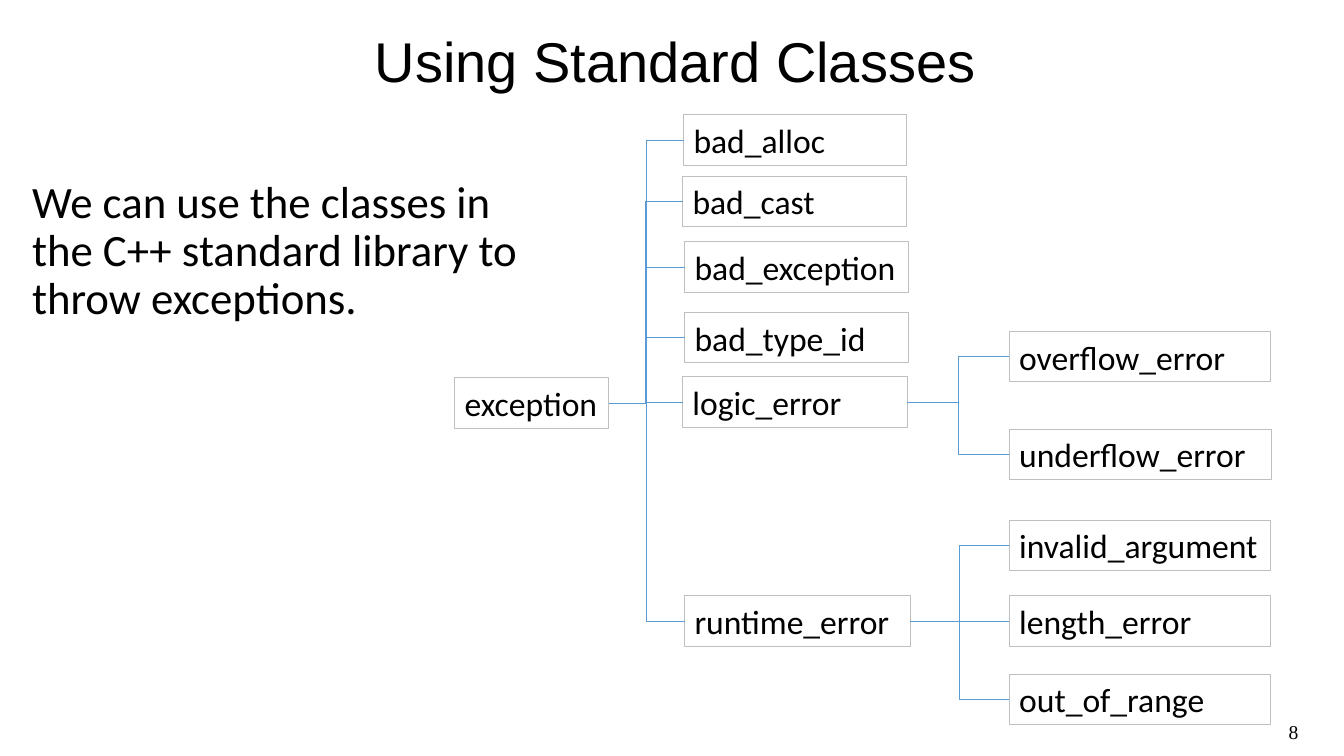
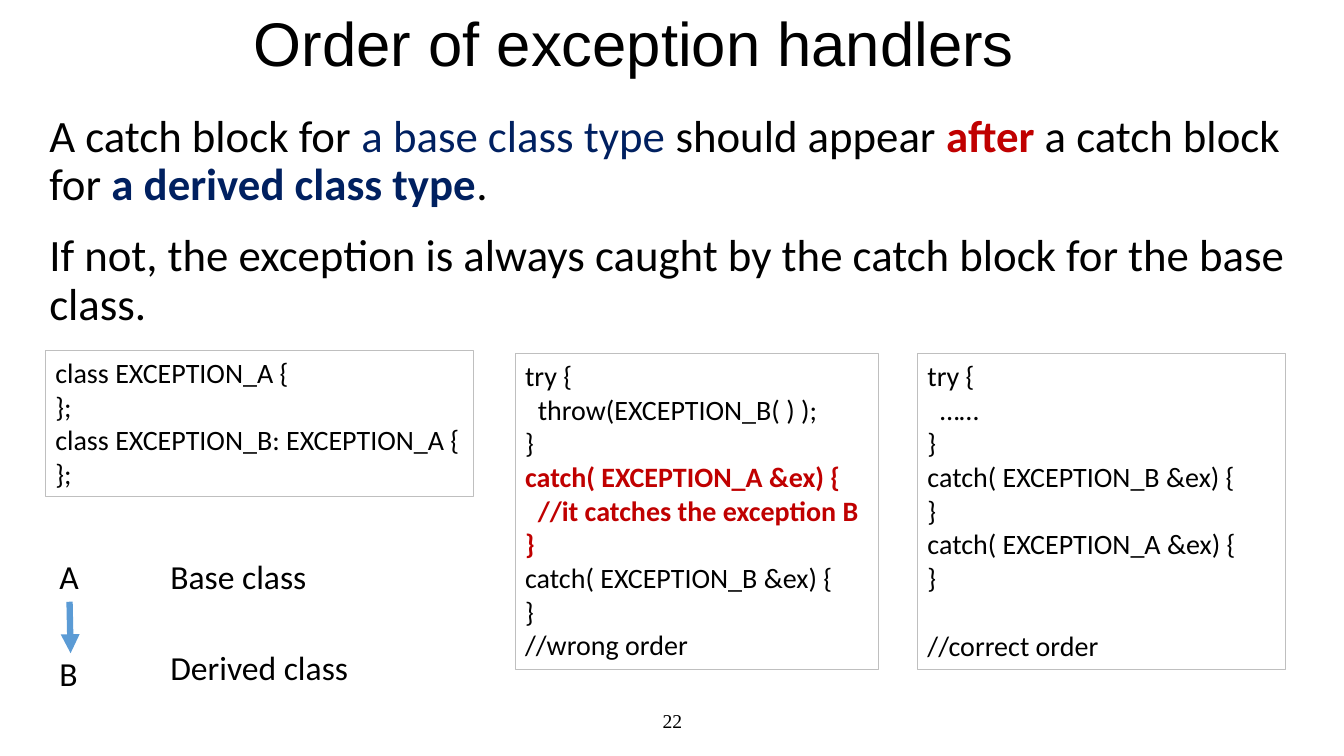
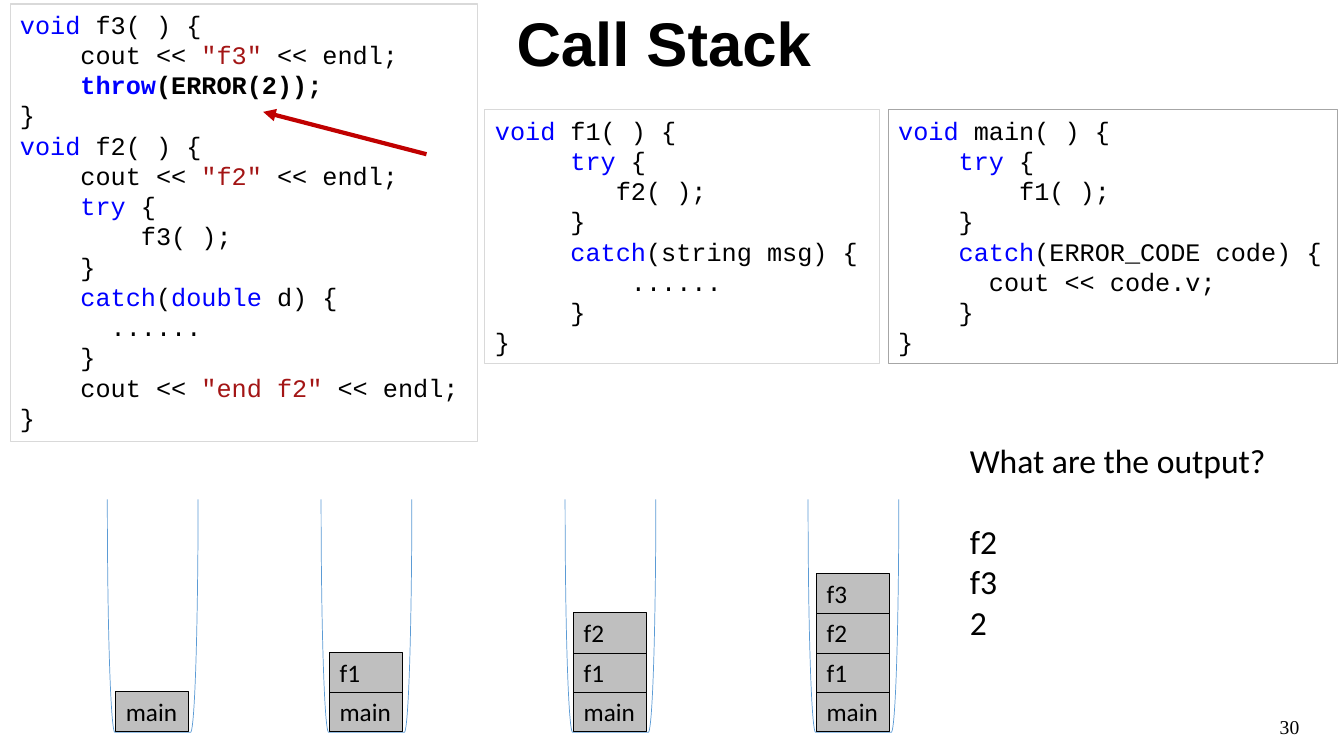
"""Build three lecture slides on exception handling."""
from lxml.etree import SubElement
from pptx import Presentation
from pptx.dml.color import RGBColor
from pptx.enum.shapes import MSO_CONNECTOR, MSO_SHAPE
from pptx.enum.text import MSO_ANCHOR, PP_ALIGN
from pptx.oxml.ns import qn
from pptx.util import Inches, Pt

COLORS = {"black": "000000", "navy": "002060", "red": "C00000", "keyword": "0000FF",
          "string": "A31515", "blue": "5B9BD5", "border": "BFBFBF", "pale": "D9D9D9",
          "grey": "A6A6A6"}
RGB = {name: RGBColor.from_string(value) for name, value in COLORS.items()}
SPACE_WIDTH = {"Calibri": 0.226, "Courier New": 0.6}
TITLE = {"font": "Arial", "anchor": MSO_ANCHOR.MIDDLE, "spacing": 0.9}
BODY = {"size": 32, "spacing": 0.9}
NUMBER = {"size": 14, "font": "Times New Roman", "align": PP_ALIGN.CENTER,
          "anchor": MSO_ANCHOR.MIDDLE}
CODE = {"size": 18, "font": "Courier New"}


def add_text(slide, at, lines, size=24, font="Calibri", border=None, fill=None,
             align=PP_ALIGN.LEFT, anchor=MSO_ANCHOR.TOP, spacing=1.0, gaps={}):
    """Add text; a line is a list of runs, led by its indent in characters if any."""
    box = [Inches(length) for length in at]
    if border:
        shape = slide.shapes.add_shape(MSO_SHAPE.RECTANGLE, *box)
        shape.shadow.inherit = False
        shape.line.color.rgb = RGB[border]
        shape.line.width = Pt(0.75)
        if fill:
            shape.fill.solid()
            shape.fill.fore_color.rgb = RGB[fill]
        else:
            shape.fill.background()
    else:
        shape = slide.shapes.add_textbox(*box)
    frame = shape.text_frame
    frame.word_wrap = True
    frame.vertical_anchor = anchor
    if align == PP_ALIGN.LEFT:
        frame.margin_right = 0
    for index, line in enumerate(lines):
        paragraph = frame.paragraphs[0] if index == 0 else frame.add_paragraph()
        paragraph.alignment = align
        paragraph.line_spacing = spacing
        if index in gaps:
            paragraph.space_before = Pt(gaps[index])
        runs = [line] if isinstance(line, str) else line
        if isinstance(runs[0], int):
            indent = Pt(runs[0] * SPACE_WIDTH[font] * size)
            paragraph._p.get_or_add_pPr().set("marL", str(indent))
            runs = runs[1:]
        for part in runs:
            text, color, bold = ((part,) if isinstance(part, str) else part) + (
                ("black", False) if isinstance(part, str) else (False,) * (3 - len(part)))
            run = paragraph.add_run()
            run.text = text
            run.font.name = font
            run.font.size = Pt(size)
            run.font.bold = bold
            run.font.color.rgb = RGB[color]
    return shape


def add_line(slide, kind, ends, color, width, arrow=False):
    """Add a plain or arrow-headed connector."""
    connector = slide.shapes.add_connector(kind, *[Inches(length) for length in ends])
    connector.line.color.rgb = RGB[color]
    connector.line.width = Pt(width)
    if arrow:
        SubElement(connector.line._get_or_add_ln(), qn("a:tailEnd"), type="triangle")
    SubElement(connector._element.spPr, qn("a:effectLst"))
    return connector


presentation = Presentation()
presentation.slide_width = Inches(13.33)
presentation.slide_height = Inches(7.5)
blank = presentation.slide_layouts[6]

slide = presentation.slides.add_slide(blank)
add_text(slide, (12.53, 7.06, 0.6, 0.4), ["8"], **NUMBER)
add_text(slide, (0.06, 0.23, 13.27, 0.81), ["Using Standard Classes"], size=40,
         align=PP_ALIGN.CENTER, **TITLE)
add_text(slide, (0.22, 1.73, 5.26, 2.58),
         ["We can use the classes in the C++ standard library to throw exceptions."], **BODY)
class_boxes = {}
for name, parent, left, top, width in [
    ("exception", None, 4.51, 3.75, 1.53),
    ("bad_alloc", "exception", 6.78, 1.14, 2.21),
    ("bad_cast", "exception", 6.77, 1.75, 2.22),
    ("bad_exception", "exception", 6.79, 2.4, 2.22),
    ("bad_type_id", "exception", 6.79, 3.1, 2.22),
    ("logic_error", "exception", 6.77, 3.74, 2.23),
    ("runtime_error", "exception", 6.79, 5.91, 2.24),
    ("overflow_error", "logic_error", 10.01, 3.29, 2.59),
    ("underflow_error", "logic_error", 10.01, 4.26, 2.6),
    ("invalid_argument", "runtime_error", 10.01, 5.16, 2.59),
    ("length_error", "runtime_error", 10.01, 5.91, 2.59),
    ("out_of_range", "runtime_error", 10.01, 6.69, 2.59),
]:
    class_boxes[name] = add_text(slide, (left, top, width, 0.5), [name], border="border")
    if parent:
        link = add_line(slide, MSO_CONNECTOR.ELBOW, (0, 0, 1, 1), "blue", 0.5)
        link.begin_connect(class_boxes[parent], 3)
        link.end_connect(class_boxes[name], 1)

slide = presentation.slides.add_slide(blank)
add_text(slide, (6.37, 6.95, 0.6, 0.4), ["22"], **NUMBER)
add_text(slide, (2.42, 0, 8.5, 0.92), ["Order of exception handlers"], size=44, **TITLE)
add_text(slide, (0.39, 1.08, 12.49, 2.4), [
    ["A catch block for ", ("a base class type ", "navy"), "should appear ",
     ("after", "red", True), " a catch block for ",
     ("a derived class type", "navy", True), "."],
    "If not, the exception is always caught by the catch block for the base class.",
], gaps={1: 16}, **BODY)
add_text(slide, (5.11, 3.51, 3.6, 3.13), [
    "try {",
    [2, "throw(EXCEPTION_B( ) );"],
    "}",
    [("catch( EXCEPTION_A &ex) {", "red", True)],
    [2, ("//it catches the exception B", "red", True)],
    [("}", "red", True)],
    "catch( EXCEPTION_B &ex) {",
    "}",
    "//wrong order",
], size=20, border="border")
add_text(slide, (9.1, 3.51, 3.65, 3.13), [
    "try {",
    [2, "……"],
    "}",
    "catch( EXCEPTION_B &ex) {",
    "}",
    "catch( EXCEPTION_A &ex) {",
    "}",
    "//correct order",
], size=20, border="border", gaps={7: 24.4})
add_text(slide, (0.45, 3.48, 4.25, 1.45), [
    "class EXCEPTION_A {", "};", "class EXCEPTION_B: EXCEPTION_A {", "};",
], size=20, border="border")
for label, left, top, width in [("A", 0.49, 5.47, 0.4), ("B", 0.49, 6.43, 0.4),
                                ("Base class", 1.59, 5.47, 1.99),
                                ("Derived class", 1.59, 6.37, 1.99)]:
    add_text(slide, (left, top, width, 0.5), [label])
add_line(slide, MSO_CONNECTOR.STRAIGHT, (0.69, 5.97, 0.7, 6.48), "blue", 4.5, arrow=True)

slide = presentation.slides.add_slide(blank)
add_text(slide, (12.49, 7.01, 0.6, 0.4), ["30"], **NUMBER)
add_text(slide, (2.42, 0, 8.5, 0.92), [[("Call Stack ", "black", True)]], size=44,
         align=PP_ALIGN.CENTER, **TITLE)
add_text(slide, (0.1, 0.04, 4.64, 4.34), [
    [("void", "keyword"), " f3( ) {"],
    [4, "cout << ", ('"f3"', "string"), " << endl;"],
    [4, ("throw", "keyword", True), ("(ERROR(2));", "black", True)],
    "}",
    [("void", "keyword"), " f2( ) {"],
    [4, "cout << ", ('"f2"', "string"), " << endl;"],
    [4, ("try", "keyword"), " {"],
    [8, "f3( );"],
    [4, "}"],
    [4, ("catch", "keyword"), "(", ("double", "keyword"), " d) {"],
    [6, "......"],
    [4, "}"],
    [4, "cout << ", ('"end f2"', "string"), " << endl;"],
    "}",
], border="pale", **CODE)
add_text(slide, (4.81, 1.09, 3.91, 2.52), [
    [("void", "keyword"), " f1( ) {"],
    [5, ("try", "keyword"), " {"],
    [8, "f2( );"],
    [5, "}"],
    [5, ("catch", "keyword"), "(string msg) {"],
    [9, "......"],
    [5, "}"],
    "}",
], border="pale", **CODE)
add_text(slide, (8.81, 1.09, 4.46, 2.52), [
    [("void", "keyword"), " main( ) {"],
    [4, ("try", "keyword"), " {"],
    [8, "f1( );"],
    [4, "}"],
    [4, ("catch", "keyword"), "(ERROR_CODE code) {"],
    [6, "cout << code.v;"],
    [4, "}"],
    "}",
], border="grey", **CODE)
calls = ["main", "f1", "f2", "f3"]
for depth, left in enumerate([0.36, 2.48, 4.9, 7.31], start=1):
    stack = slide.shapes.add_shape(MSO_SHAPE.LEFT_BRACKET, Inches(left), Inches(5.66),
                                   Inches(2.31), Inches(0.9))
    stack.rotation = 270
    stack.shadow.inherit = False
    stack.fill.background()
    stack.line.color.rgb = RGB["blue"]
    stack.line.width = Pt(0.5)
    for level, call in enumerate(calls[:depth]):
        add_text(slide, (left + 0.79, 6.86 - 0.39 * level, 0.72, 0.4), [call], size=18,
                 border="black", fill="border")
add_text(slide, (9.52, 4.31, 3.32, 2.52), ["What are the output?", "f2", "f3", "2"],
         gaps={1: 29.3})
add_line(slide, MSO_CONNECTOR.STRAIGHT, (4.23, 1.53, 2.61, 1.11), "red", 3, arrow=True)

presentation.save("out.pptx")
